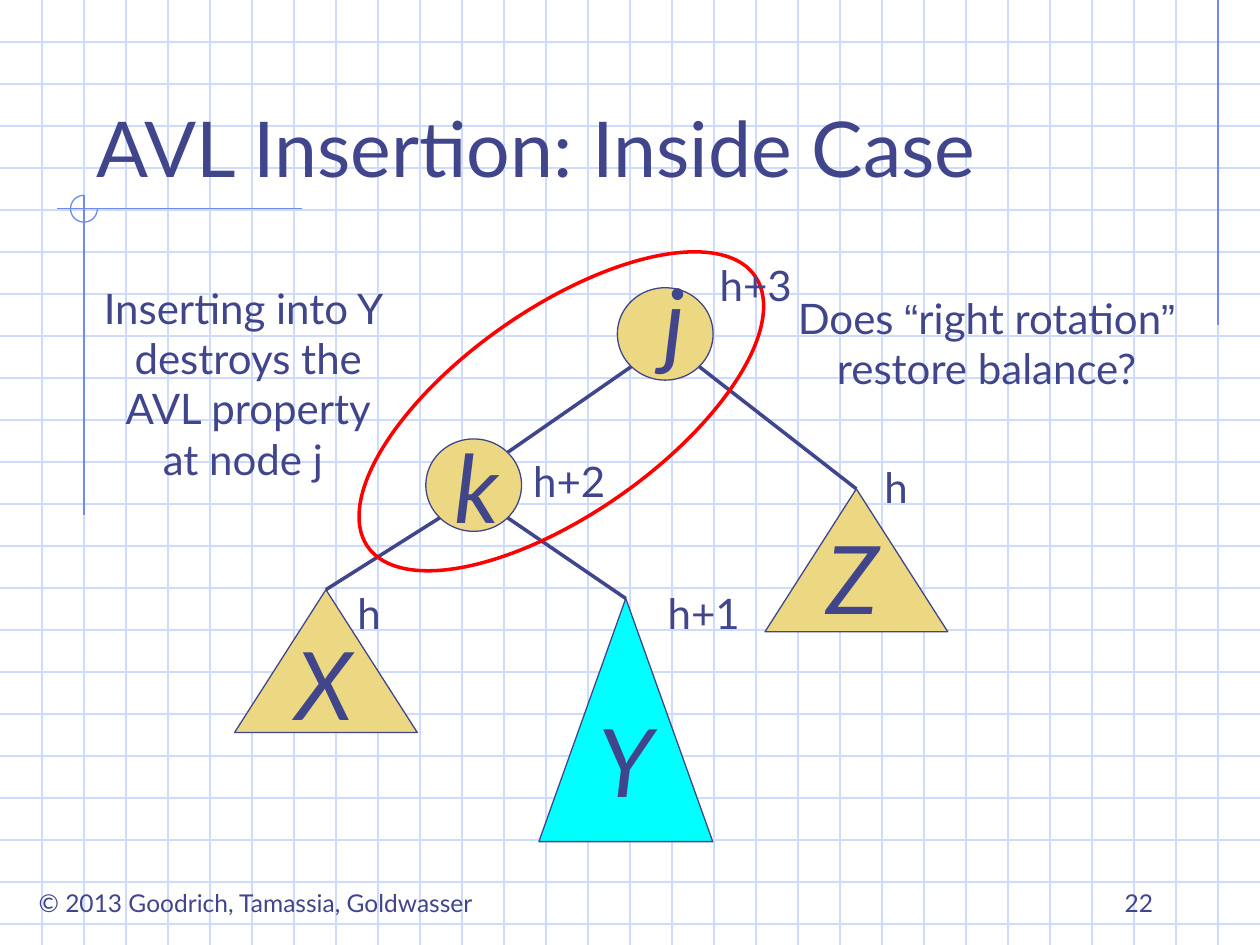
from math import sqrt
from lxml.etree import SubElement
from pptx import Presentation
from pptx.dml.color import RGBColor as Rgb
from pptx.enum.shapes import MSO_CONNECTOR as Link, MSO_SHAPE as Shape
from pptx.enum.text import MSO_ANCHOR as Anchor, PP_ALIGN as Align
from pptx.oxml.ns import qn
from pptx.util import Inches, Pt

COLORS = {"ink": "40458C", "grid": "CFDBFD", "rule": "6F89F7",
          "sand": "ECD882", "cyan": "00FFFF", "red": "FF0000"}
COLUMNS, ROWS = 30, 22.5
CELL = Inches(10) / COLUMNS

deck = Presentation()
deck.slide_width = round(COLUMNS * CELL)
deck.slide_height = round(ROWS * CELL)
slide = deck.slides.add_slide(deck.slide_layouts[6])
shapes = slide.shapes


def draw_line(start, end, color, width=0.75):
    ends = [round(v * CELL) for v in (*start, *end)]
    line = shapes.add_connector(Link.STRAIGHT, *ends)
    line.line.color.rgb = Rgb.from_string(COLORS[color])
    line.line.width = Pt(width)
    SubElement(line._element.spPr, qn("a:effectLst"))


def write(area, paragraphs, size, align=Align.CENTER, anchor=Anchor.TOP, wrap=False, italic=False):
    frame = shapes.add_textbox(*[round(v * CELL) for v in area]).text_frame
    frame.word_wrap = wrap
    frame.vertical_anchor = anchor
    for index, pieces in enumerate(paragraphs):
        paragraph = frame.add_paragraph() if index else frame.paragraphs[0]
        paragraph.alignment = align
        for piece in pieces:
            run = paragraph.add_run()
            run.text = piece
            run.font.name = "Arial" if piece in "“”" else "Lato"
            run.font.size = Pt(size)
            run.font.italic = italic
            run.font.color.rgb = Rgb.from_string(COLORS["ink"])


for row in range(1, 23):
    draw_line((0, row), (COLUMNS, row), "grid")
for column in range(1, COLUMNS):
    draw_line((column, 0), (column, ROWS), "grid")

draw_line((29, 0), (29, 7.74), "rule")
draw_line((7.2, 4.97), (1.36, 4.97), "rule")
draw_line((2, 4.65), (2, 12.27), "rule")
corner = shapes.add_shape(Shape.ARC, *[round(v * CELL) for v in (1.68, 4.65, 0.64, 0.64)])
corner.adjustments[0], corner.adjustments[1] = 0, 162
corner.shadow.inherit = False
corner.fill.background()
corner.line.color.rgb = Rgb.from_string(COLORS["rule"])
corner.line.width = Pt(0.75)

write((0.27, 21, 11.64, 1.02), [["© 2013 Goodrich, Tamassia, Goldwasser"]], 14)
write((2, 1, 25.5, 3.75), [["AVL Insertion: Inside Case"]], 44, Align.LEFT, Anchor.BOTTOM, True)
write((21.5, 20.5, 6.25, 1.5), [["22"]], 14, Align.RIGHT, Anchor.BOTTOM, True)
write((1.89, 6.57, 8.04, 5.1),
      [["Inserting into Y "], ["destroys the"], ["AVL property"], ["at node j "]], 24)

node_width, node_height = 2.28, 2.2
node_centers = {"j": (15.84, 7.95), "k": (11.28, 11.55)}
subtrees = {"X": (7.76, 14.04, 4.35, 3.4), "Y": (14.9, 14.25, 4.14, 5.79),
            "Z": (20.39, 11.64, 4.35, 3.4)}

edges = [("j", -1, "k"), ("k", -1, "X"), ("k", 1, "Y"), ("j", 1, "Z")]
reach_x, reach_y = node_width / 2 / sqrt(2), node_height / 2 / sqrt(2)
for parent, side, child in edges:
    x, y = node_centers[parent]
    if child in node_centers:
        child_x, child_y = node_centers[child]
        end = child_x - side * reach_x, child_y - reach_y
    else:
        end = subtrees[child][:2]
    draw_line((x + side * reach_x, y + reach_y), end, "ink", 2)

letter_corners = {"j": (15.36, 6.12), "k": (10.53, 10.08), "X": (6.75, 14.76),
                  "Y": (13.95, 16.59), "Z": (19.38, 12.24)}
for name, corner_point in letter_corners.items():
    if name in node_centers:
        kind, (x, top) = Shape.OVAL, node_centers[name]
        width, height = node_width, node_height
        top -= height / 2
    else:
        kind, (x, top, width, height) = Shape.ISOSCELES_TRIANGLE, subtrees[name]
    area = (x - width / 2, top, width, height)
    part = shapes.add_shape(kind, *[round(v * CELL) for v in area])
    part.shadow.inherit = False
    part.fill.solid()
    part.fill.fore_color.rgb = Rgb.from_string(COLORS["cyan" if name == "Y" else "sand"])
    part.line.color.rgb = Rgb.from_string(COLORS["ink"])
    part.line.width = Pt(0.75)
    write((*corner_point, 1.4, 3), [[name]], 54, wrap=True, italic=True)

write((18.39, 6.81, 10.2, 2.7),
      [["Does ", "“", "right rotation", "”"], ["restore balance?"]], 24)

highlight = shapes.add_shape(Shape.OVAL, *[round(v * CELL) for v in (7.74, 7.35, 11.25, 4.89)])
highlight.rotation = 325
highlight.shadow.inherit = False
highlight.fill.background()
highlight.line.color.rgb = Rgb.from_string(COLORS["red"])
highlight.line.width = Pt(2)

heights = [("h", 20.76, 10.83, 1.08), ("h+1", 15.57, 13.83, 2.37), ("h", 8.19, 13.83, 1.2),
           (" h+2", 12.12, 10.71, 2.61), (" h+3", 16.56, 6.03, 2.61)]
for label, left, top, width in heights:
    write((left, top, width, 1.5), [[label]], 24)

deck.save("out.pptx")
